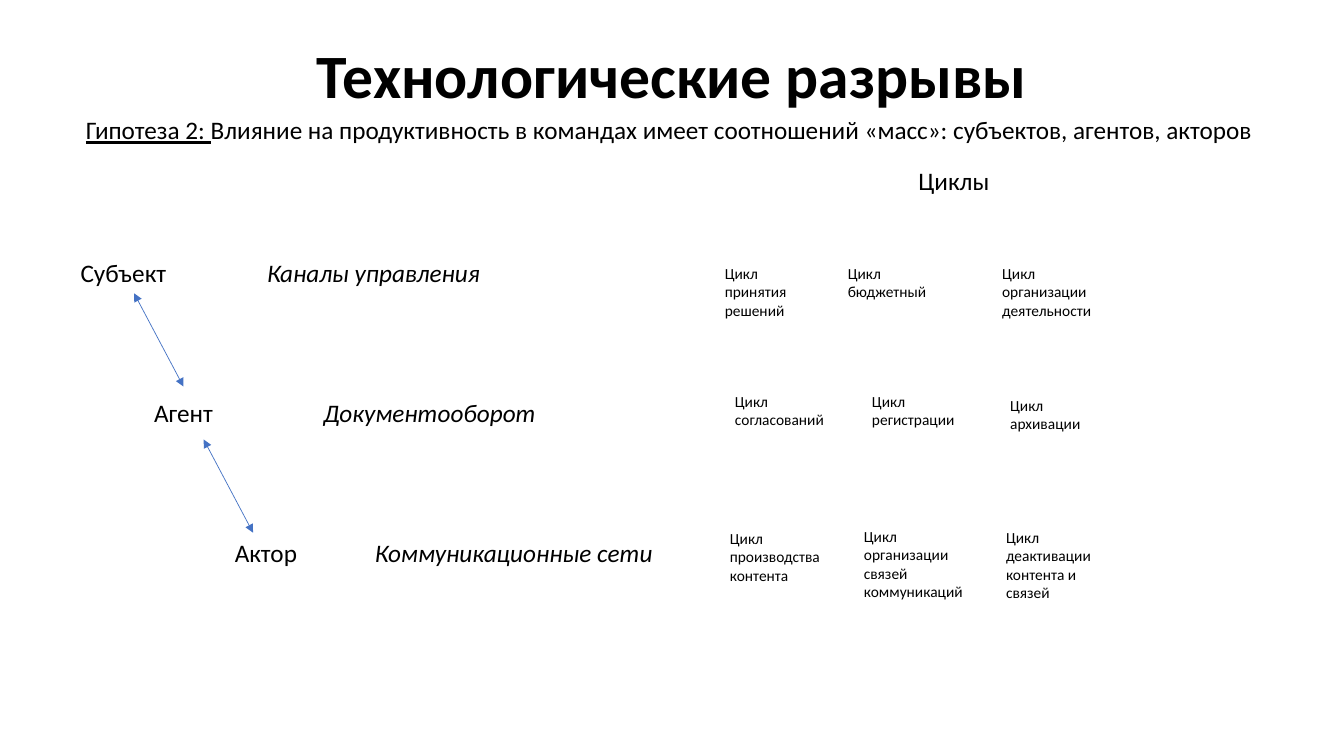
"""Build the slide on technology gaps: roles, their channels and their cycles."""
import dataclasses
import typing

import lxml.etree
import pptx
import pptx.dml.color
import pptx.enum.shapes
import pptx.enum.text
import pptx.oxml.ns
import pptx.util

BLACK = pptx.dml.color.RGBColor(0x00, 0x00, 0x00)
BLUE = pptx.dml.color.RGBColor(0x44, 0x72, 0xC4)
WIDTH, HEIGHT = pptx.util.Inches(13.33), pptx.util.Inches(7.5)
COL, ROW = WIDTH / 133.3, HEIGHT / 75
TOP, STEP = 25, 13.9

Format = dict[str, typing.Any]
BASE: Format = {"name": "Calibri", "size": pptx.util.Pt(18)}
TITLE: Format = BASE | {"size": pptx.util.Pt(44), "bold": True}
LEAD: Format = BASE | {"underline": True}
REST: Format = BASE | {"underline": False}
SLANT: Format = BASE | {"italic": True}
SMALL: Format = BASE | {"size": pptx.util.Pt(11)}
FRAME: Format = {"word_wrap": True, "vertical_anchor": pptx.enum.text.MSO_ANCHOR.TOP}
FIXED: Format = FRAME | {"auto_size": pptx.enum.text.MSO_AUTO_SIZE.NONE}
GROW: Format = FRAME | {"auto_size": pptx.enum.text.MSO_AUTO_SIZE.SHAPE_TO_FIT_TEXT}
CENTRE: Format = {"alignment": pptx.enum.text.PP_ALIGN.CENTER, "line_spacing": 0.9}


@dataclasses.dataclass(frozen=True)
class Label:
    """Text at a column and row of the grid."""
    text: str
    col: float
    row: float
    wide: float = 11.2
    high: float = 4
    style: Format = dataclasses.field(default_factory=lambda: BASE)


@dataclasses.dataclass(frozen=True)
class Tier:
    """One level: a role, its channel and its cycles."""
    role: Label
    channel: Label
    cycles: tuple[Label, ...]


def cycle(text: str, col: float, row: float, high: float, wide: float = 11.2) -> Label:
    """Describe a small cycle label."""
    return Label("Цикл " + text, col, row, wide, high, SMALL)


TIERS = (
    Tier(Label("Субъект", 7, TOP),
         Label("Каналы управления", 25.5, TOP, 24.8, style=SLANT),
         (cycle("принятия решений", 70.9, 25.7, 6.6),
          cycle("бюджетный", 83.1, 25.7, 4.7),
          cycle("организации деятельности", 98.4, 25.7, 6.6))),
    Tier(Label("Агент", 14.3, TOP + STEP),
         Label("Документооборот", 31.1, TOP + STEP, 24.8, style=SLANT),
         (cycle("согласований", 71.9, 38.4, 4.7),
          cycle("регистрации", 85.5, 38.4, 4.7),
          cycle("архивации", 99.2, 38.8, 4.7))),
    Tier(Label("Актор", 22.3, TOP + 2 * STEP),
         Label("Коммуникационные сети", 36.2, TOP + 2 * STEP, 32.4, style=SLANT),
         (cycle("производства контента", 71.4, 52, 6.6),
          cycle("организации связей коммуникаций", 84.7, 51.8, 8.4, 12.3),
          cycle("деактивации контента и связей", 98.8, 51.9, 8.4, 12.3))),
)


def apply(target: typing.Any, values: Format) -> None:
    """Set each attribute named in the format."""
    for name, value in values.items():
        setattr(target, name, value)


def place(shape: typing.Any, col: float, row: float, wide: float, high: float) -> None:
    """Put a shape on the grid."""
    apply(shape, {"left": round(col * COL), "top": round(row * ROW),
                  "width": round(wide * COL), "height": round(high * ROW)})


def write(para: typing.Any, text: str, style: Format) -> None:
    """Add a run of black text in the given style."""
    run = para.add_run()
    run.text = text
    apply(run.font, style)
    run.font.color.rgb = BLACK


def head(shape: typing.Any, box: tuple[float, float, float, float],
         runs: tuple[tuple[str, Format], ...], before: float) -> None:
    """Fill a placeholder with one centred paragraph."""
    place(shape, *box)
    apply(shape.text_frame, FIXED)
    para = shape.text_frame.paragraphs[0]
    apply(para, CENTRE | {"space_before": pptx.util.Pt(before)})
    for text, style in runs:
        write(para, text, style)
    props = para._p.get_or_add_pPr()
    props.set("marL", "0")
    props.set("indent", "0")
    lxml.etree.SubElement(props, pptx.oxml.ns.qn("a:buNone"))


def label(slide: typing.Any, item: Label) -> None:
    """Draw a label as a text box."""
    box = slide.shapes.add_textbox(0, 0, 0, 0)
    place(box, item.col, item.row, item.wide, item.high)
    apply(box.text_frame, GROW)
    write(box.text_frame.paragraphs[0], item.text, item.style)


def arrow(slide: typing.Any, col: float, row: float) -> None:
    """Draw a double arrow between two roles."""
    link = slide.shapes.add_connector(
        pptx.enum.shapes.MSO_CONNECTOR.STRAIGHT, round(col * COL), round(row * ROW),
        round((col + 4.9) * COL), round((row + 9.25) * ROW))
    link.line.color.rgb = BLUE
    link.line.width = pptx.util.Pt(0.5)
    for end in ("a:headEnd", "a:tailEnd"):
        lxml.etree.SubElement(link.line._get_or_add_ln(), pptx.oxml.ns.qn(end), type="triangle")
    lxml.etree.SubElement(link._element.spPr, pptx.oxml.ns.qn("a:effectLst"))


def main() -> None:
    """Build and save the deck."""
    deck = pptx.Presentation()
    apply(deck, {"slide_width": WIDTH, "slide_height": HEIGHT})
    slide = deck.slides.add_slide(deck.slide_layouts[1])
    head(slide.shapes.title, (9.2, 4, 115, 14.5), (("Технологические разрывы", TITLE),), 0)
    head(slide.placeholders[1], (1, 11.2, 131.3, 5.2), (
        ("Гипотеза 2: ", LEAD),
        ("Влияние на продуктивность в командах имеет соотношений «масс»: "
         "субъектов, агентов, акторов ", REST)), 10)
    label(slide, Label("Циклы", 90.1, 15.9))
    for tier in TIERS:
        for item in (tier.role, tier.channel, *tier.cycles):
            label(slide, item)
    for index in range(len(TIERS) - 1):
        arrow(slide, 13.3 + 6.9 * index, 29.1 + 14.5 * index)
    deck.save("out.pptx")


if __name__ == "__main__":
    main()
